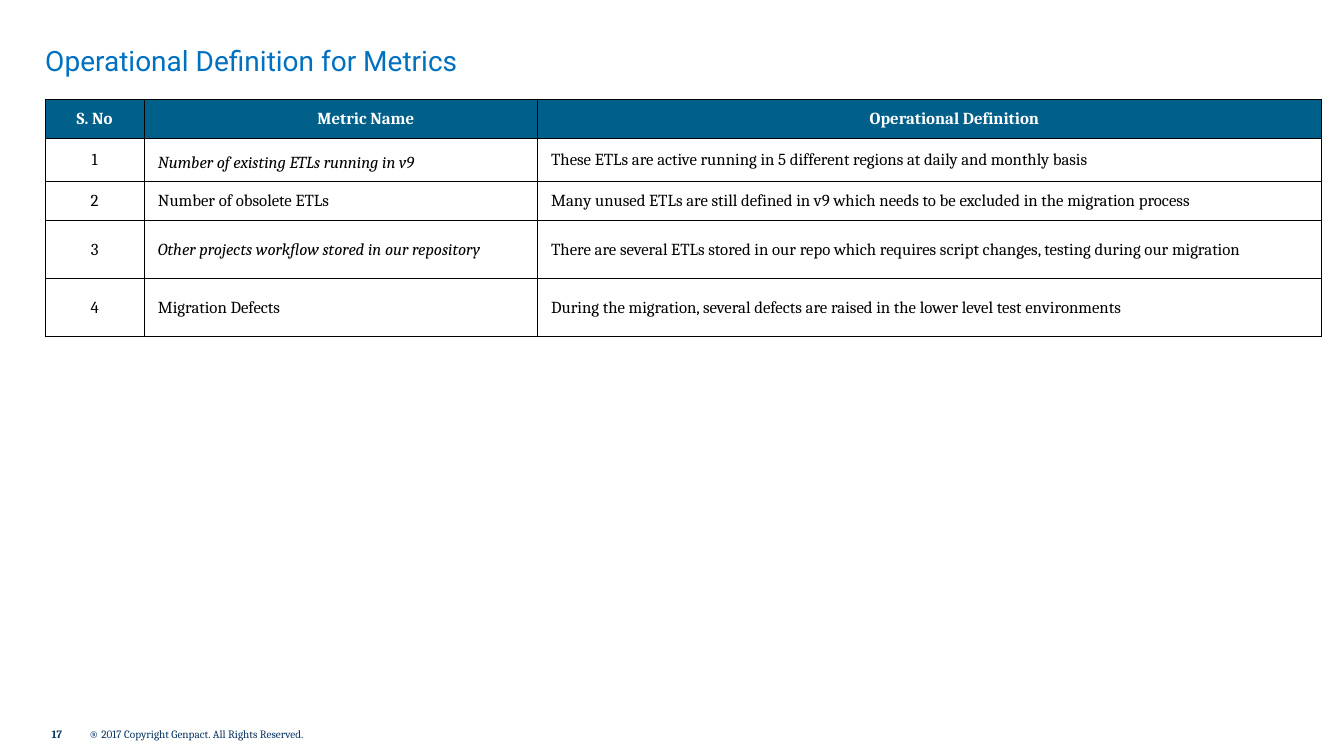
"""Build the slide that lists the operational definition of each metric."""
from lxml import etree
from pptx import Presentation
from pptx import util as u
from pptx.dml.color import RGBColor
from pptx.enum import text as t
from pptx.oxml.ns import qn

COLOURS = {"title": "0070C0", "header": "00608A", "footer": "073262",
           "white": "FFFFFF", "black": "000000"}
COLUMN_WIDTHS = [2.49, 9.91, 19.76]
ROW_HEIGHTS = [0.97, 1.09, 0.97, 1.47, 1.47]
HEADINGS = ["S. No", "Metric Name", "Operational Definition"]
METRICS = [
    ("Number of existing ETLs running in v9", True,
     "These ETLs are active running in 5 different regions at daily and monthly basis"),
    ("Number of obsolete ETLs", False,
     "Many unused ETLs are still defined in v9 which needs to be excluded in the migration process"),
    ("Other projects workflow stored in our repository", True,
     "There are several ETLs stored in our repo which requires script changes, "
     "testing during our migration"),
    ("Migration Defects", False,
     "During the migration, several defects are raised in the lower level test environments"),
]


def write_text(frame, content, size=12, font="Cambria", colour="black", bold=False,
               italic=False, align=t.PP_ALIGN.LEFT, indent=0, spacing=1.0):
    paragraph = frame.paragraphs[0]
    paragraph.alignment = align
    paragraph.line_spacing = spacing
    properties = paragraph._p.get_or_add_pPr()
    properties.set("marL", str(u.Cm(indent)))
    properties.set("indent", "0")
    run = paragraph.add_run()
    run.text = content
    run.font.name = font
    run.font.size = u.Pt(size)
    run.font.bold = bold
    run.font.italic = italic
    run.font.color.rgb = RGBColor.from_string(COLOURS[colour])


def set_frame(frame, anchor):
    frame.margin_left = frame.margin_right = frame.margin_top = frame.margin_bottom = 0
    frame.word_wrap = True
    frame.vertical_anchor = anchor


def add_title(slide, content):
    title = slide.shapes.title
    title.left, title.top, title.width, title.height = map(u.Cm, (1.14, 1.09, 31.6, 0.86))
    set_frame(title.text_frame, t.MSO_ANCHOR.TOP)
    title.text_frame.auto_size = t.MSO_AUTO_SIZE.SHAPE_TO_FIT_TEXT
    write_text(title.text_frame, content, size=20, font="Roboto", colour="title")


def add_footer(slide, content, left, width, bold=False):
    shape = slide.shapes.add_textbox(u.Cm(left), u.Cm(18.19), u.Cm(width), u.Cm(0.61))
    set_frame(shape.text_frame, t.MSO_ANCHOR.MIDDLE)
    write_text(shape.text_frame, content, size=8, colour="footer", bold=bold)


def add_borders(cell):
    properties = cell._tc.get_or_add_tcPr()
    for position, side in enumerate(("lnL", "lnR", "lnT", "lnB")):
        line = etree.Element(qn(f"a:{side}"), w=str(u.Pt(0.5)))
        fill = etree.SubElement(line, qn("a:solidFill"))
        etree.SubElement(fill, qn("a:srgbClr"), val=COLOURS["black"])
        properties.insert(position, line)


def fill_cell(cell, content, background=None, **text_format):
    cell.margin_left = cell.margin_right = cell.margin_top = u.Cm(0.03)
    cell.margin_bottom = 0
    cell.vertical_anchor = t.MSO_ANCHOR.MIDDLE
    if background:
        cell.fill.solid()
        cell.fill.fore_color.rgb = RGBColor.from_string(COLOURS[background])
    else:
        cell.fill.background()
    add_borders(cell)
    write_text(cell.text_frame, content, **text_format)


def add_metrics_table(slide):
    table = slide.shapes.add_table(
        len(ROW_HEIGHTS), len(COLUMN_WIDTHS), u.Cm(1.14), u.Cm(2.51),
        u.Cm(sum(COLUMN_WIDTHS)), u.Cm(sum(ROW_HEIGHTS))).table
    table.horz_banding = False
    for column, width in zip(table.columns, COLUMN_WIDTHS):
        column.width = u.Cm(width)
    for row, height in zip(table.rows, ROW_HEIGHTS):
        row.height = u.Cm(height)
    for index, heading in enumerate(HEADINGS):
        fill_cell(table.cell(0, index), heading, background="header", colour="white",
                  bold=True, align=t.PP_ALIGN.CENTER, indent=1.27 if index else 0)
    for number, (name, italic, definition) in enumerate(METRICS, start=1):
        fill_cell(table.cell(number, 0), str(number), align=t.PP_ALIGN.CENTER)
        fill_cell(table.cell(number, 1), name, italic=italic, indent=0.32,
                  spacing=1.3 if number == 1 else 1.0)
        fill_cell(table.cell(number, 2), definition, indent=0.32)


def main():
    presentation = Presentation()
    presentation.slide_width = u.Cm(33.87)
    presentation.slide_height = u.Cm(19.05)
    slide = presentation.slides.add_slide(presentation.slide_layouts[5])
    add_footer(slide, "17", 1.3, 0.9, bold=True)
    add_footer(slide, "® 2017 Copyright Genpact. All Rights Reserved.", 2.25, 6.55)
    add_title(slide, "Operational Definition for Metrics")
    add_metrics_table(slide)
    presentation.save("out.pptx")


if __name__ == "__main__":
    main()
